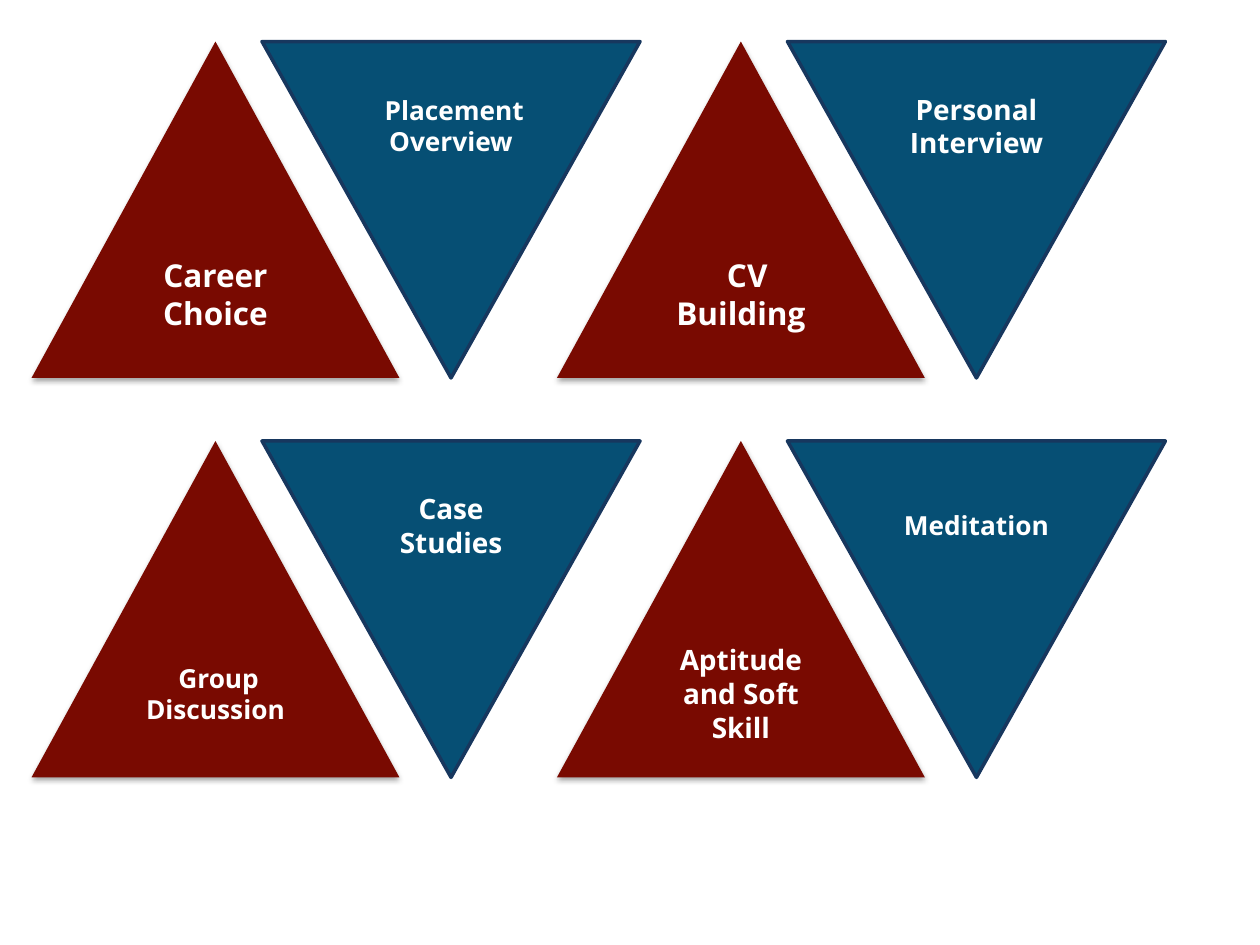
from lxml import etree
from pptx import Presentation
from pptx.dml.color import RGBColor
from pptx.enum.shapes import MSO_SHAPE as SHAPE
from pptx.enum.text import MSO_ANCHOR as ANCHOR, PP_ALIGN as ALIGN
from pptx.oxml import parse_xml
from pptx.oxml.ns import nsdecls, qn
from pptx.util import Inches, Pt

FONT = "Open Sans"
RED, BLUE, NAVY, WHITE = "790A01", "064F74", "17375E", "FFFFFF"
NBSP = "\u00a0"
LEFT, TOP, HEIGHT = 0.25, 0.33, 2.67
PAIR_STEP, ROW_STEP, DOWN_OFFSET = 4.17, 3.17, 1.83
TOPICS = [
    [("Career Choice", 18, 0), ("Placement Overview", 15, 1),
     ("CV Building", 18, 2), ("Personal Interview", 16, 0)],
    [("Group Discussion", 15, 1), ("Case Studies", 16, 0),
     ("Aptitude and Soft Skill", 16, 0), ("Meditation", 15, 0)],
]


def rgb(value):
    """Turn a hex string into a colour."""
    return RGBColor.from_string(value)


def add_shadow(sp):
    """Give a shape a soft shadow straight below it."""
    effects = sp._element.spPr.find(qn("a:effectLst"))
    effects.append(parse_xml(
        f'<a:outerShdw {nsdecls("a")} blurRad="{Pt(3.1)}" dist="{Pt(1.8)}" '
        'dir="5400000" rotWithShape="0"><a:srgbClr val="000000">'
        '<a:alpha val="35000"/></a:srgbClr></a:outerShdw>'))


def add_label(sp, text, size, indent):
    """Write a centred bold label, led by hard spaces where it is indented."""
    tf = sp.text_frame
    tf.word_wrap = True
    tf.vertical_anchor = ANCHOR.MIDDLE
    p = tf.paragraphs[0]
    p.alignment = ALIGN.CENTER
    p.font.name, p.font.bold, p.font.size = FONT, True, Pt(size)
    p.font.color.rgb = rgb(WHITE)
    if indent:
        r = p.add_run()
        r.text = NBSP * indent
        r.font.size = Pt(14)
    p.add_run().text = text


def add_triangle(s, kind, x, y, width, fill):
    """Add a filled triangle without outline or shadow."""
    sp = s.shapes.add_shape(kind, Inches(x), Inches(y), Inches(width), Inches(HEIGHT))
    sp.shadow.inherit = False
    sp.fill.solid()
    sp.fill.fore_color.rgb = rgb(fill)
    sp.line.fill.background()
    return sp


def add_up(s, x, y):
    """Add a red triangle that points up."""
    sp = add_triangle(s, SHAPE.FLOWCHART_EXTRACT, x, y, 2.92, RED)
    add_shadow(sp)
    return sp


def add_down(s, x, y):
    """Add an outlined blue triangle that points down."""
    sp = add_triangle(s, SHAPE.FLOWCHART_MERGE, x + DOWN_OFFSET, y, 3, BLUE)
    sp.line.color.rgb = rgb(NAVY)
    sp.line.width = Pt(2)
    etree.SubElement(sp.line._get_or_add_ln(), qn("a:round"))
    return sp


def main():
    """Build the slide with two rows of topic triangles."""
    prs = Presentation()
    prs.slide_width, prs.slide_height = Inches(10), Inches(7.5)
    s = prs.slides.add_slide(prs.slide_layouts[6])
    for row, topics in enumerate(TOPICS):
        for col, topic in enumerate(topics):
            add = add_down if col % 2 else add_up
            sp = add(s, LEFT + col // 2 * PAIR_STEP, TOP + row * ROW_STEP)
            add_label(sp, *topic)
    prs.save("out.pptx")


main()
